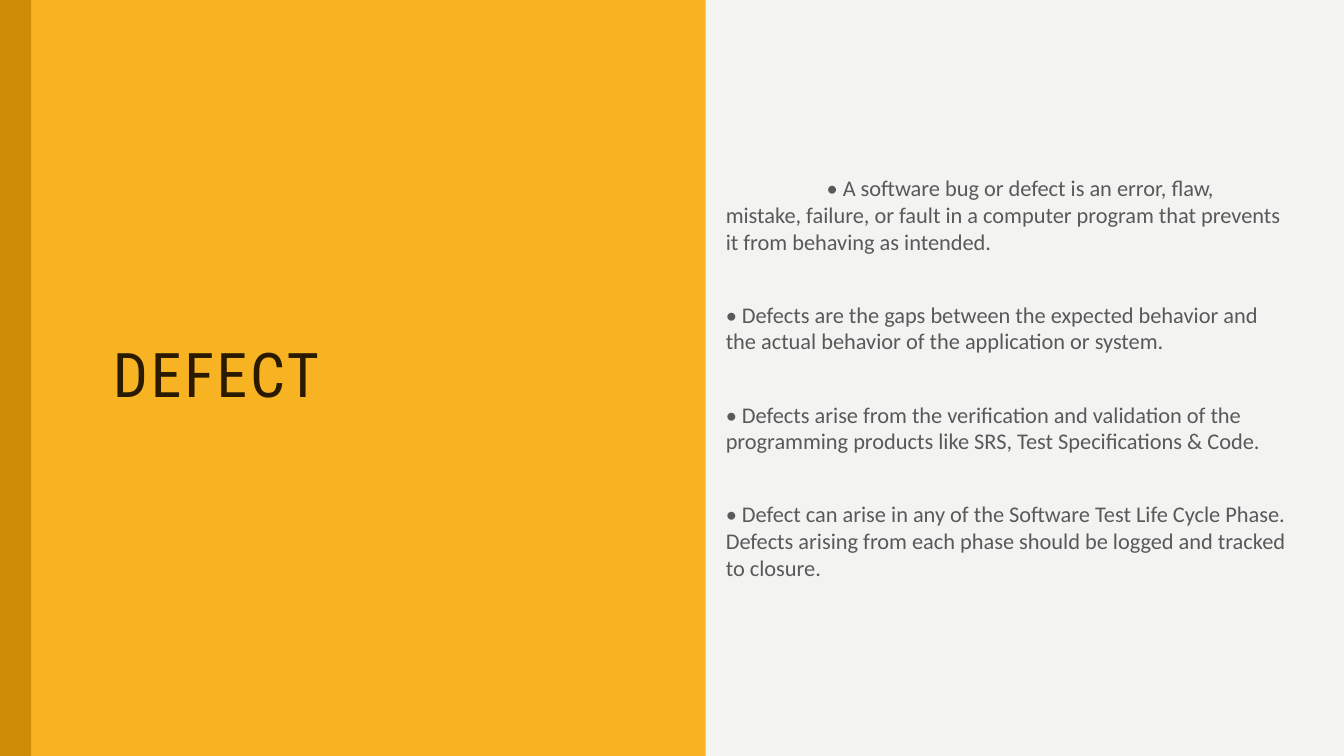
import pptx
import pptx.dml.color
import pptx.enum.shapes
import pptx.enum.text
import pptx.util
from pptx.util import Inches

PANEL = "F8B323"
STRIPE = "CE8D07"
BACKGROUND = "F3F3F2"
TITLE_COLOR = "2A1A00"
BODY_COLOR = "595959"

SLIDE_WIDTH, SLIDE_HEIGHT = 13.33, 7.5
TROUGH_X = 6.68
WAVE_COUNT = 5
# Depth of the wavy edge at equal and unequal steps from trough to crest: (depth, distance)
HALF_WAVE = [
    (0, 0), (0, 0.07), (0.02, 0.14), (0.03, 0.2), (0.04, 0.24),
    (0.06, 0.29), (0.08, 0.33), (0.11, 0.37), (0.13, 0.41), (0.15, 0.46),
    (0.17, 0.5), (0.18, 0.55), (0.2, 0.61), (0.21, 0.68), (0.21, 0.75),
]

STATEMENTS = [
    "• A software bug or defect is an error, flaw, mistake, failure, or fault "
    "in a computer program that prevents it from behaving as intended.",
    "• Defects are the gaps between the expected behavior and the actual "
    "behavior of the application or system.",
    "• Defects arise from the verification and validation of the programming "
    "products like SRS, Test Specifications & Code.",
    "• Defect can arise in any of the Software Test Life Cycle Phase. Defects "
    "arising from each phase should be logged and tracked to closure.",
]


def color(hex_string):
    return pptx.dml.color.RGBColor.from_string(hex_string)


def fill_shape(shape, hex_string):
    """Give the shape a flat fill without outline or shadow."""
    shape.shadow.inherit = False
    shape.fill.solid()
    shape.fill.fore_color.rgb = color(hex_string)
    shape.line.fill.background()


def add_run(paragraph, text, font_name, size, hex_string):
    run = paragraph.add_run()
    run.text = text
    run.font.name = font_name
    run.font.size = pptx.util.Pt(size)
    run.font.color.rgb = color(hex_string)
    return run


def prepare_frame(shape):
    """Wrap the text and centre it vertically at its own size."""
    frame = shape.text_frame
    frame.word_wrap = True
    frame.auto_size = pptx.enum.text.MSO_AUTO_SIZE.NONE
    frame.vertical_anchor = pptx.enum.text.MSO_ANCHOR.MIDDLE
    return frame


def wave_points():
    """Points of the wavy edge, from the top of the slide to the bottom."""
    period = SLIDE_HEIGHT / WAVE_COUNT
    falling = [(depth, period - step) for depth, step in reversed(HALF_WAVE)]
    wave = HALF_WAVE + falling[1:]
    return [
        (TROUGH_X + depth, number * period + step)
        for number in range(WAVE_COUNT)
        for depth, step in wave
    ]


def add_wavy_panel(slide):
    builder = slide.shapes.build_freeform(0, 0, scale=Inches(1))
    builder.add_line_segments(wave_points() + [(0, SLIDE_HEIGHT)], close=True)
    fill_shape(builder.convert_to_shape(), PANEL)


def add_stripe(slide):
    stripe = slide.shapes.add_shape(
        pptx.enum.shapes.MSO_SHAPE.RECTANGLE,
        0, 0, Inches(0.31), Inches(SLIDE_HEIGHT))
    fill_shape(stripe, STRIPE)


def place_title(slide, text):
    title = slide.shapes.title
    title.left, title.top = Inches(1.02), Inches(1.27)
    title.width, title.height = Inches(4.94), Inches(4.96)
    paragraph = prepare_frame(title).paragraphs[0]
    paragraph.alignment = pptx.enum.text.PP_ALIGN.LEFT
    paragraph.line_spacing = 0.9
    run = add_run(paragraph, text, "Roboto Condensed", 44, TITLE_COLOR)
    run.font.bold = False
    run.font._element.set("spc", "200")
    # Bring the title in front of the panel
    slide.shapes._spTree.append(title._element)


def add_statements(slide, statements):
    box = slide.shapes.add_textbox(
        Inches(7.1), Inches(0.5), Inches(5.79), Inches(6.49))
    frame = prepare_frame(box)
    for index, statement in enumerate(statements):
        paragraph = frame.add_paragraph() if index else frame.paragraphs[0]
        if index:
            paragraph.space_before = pptx.util.Pt(33)
        else:
            paragraph._p.get_or_add_pPr().set("indent", str(Inches(1)))
        add_run(paragraph, statement, "Calibri", 16, BODY_COLOR)


def main():
    presentation = pptx.Presentation()
    presentation.slide_width = Inches(SLIDE_WIDTH)
    presentation.slide_height = Inches(SLIDE_HEIGHT)
    slide = presentation.slides.add_slide(presentation.slide_layouts[5])
    slide.background.fill.solid()
    slide.background.fill.fore_color.rgb = color(BACKGROUND)

    add_wavy_panel(slide)
    place_title(slide, "DEFECT")
    add_stripe(slide)
    add_statements(slide, STATEMENTS)
    presentation.save("out.pptx")


if __name__ == "__main__":
    main()
